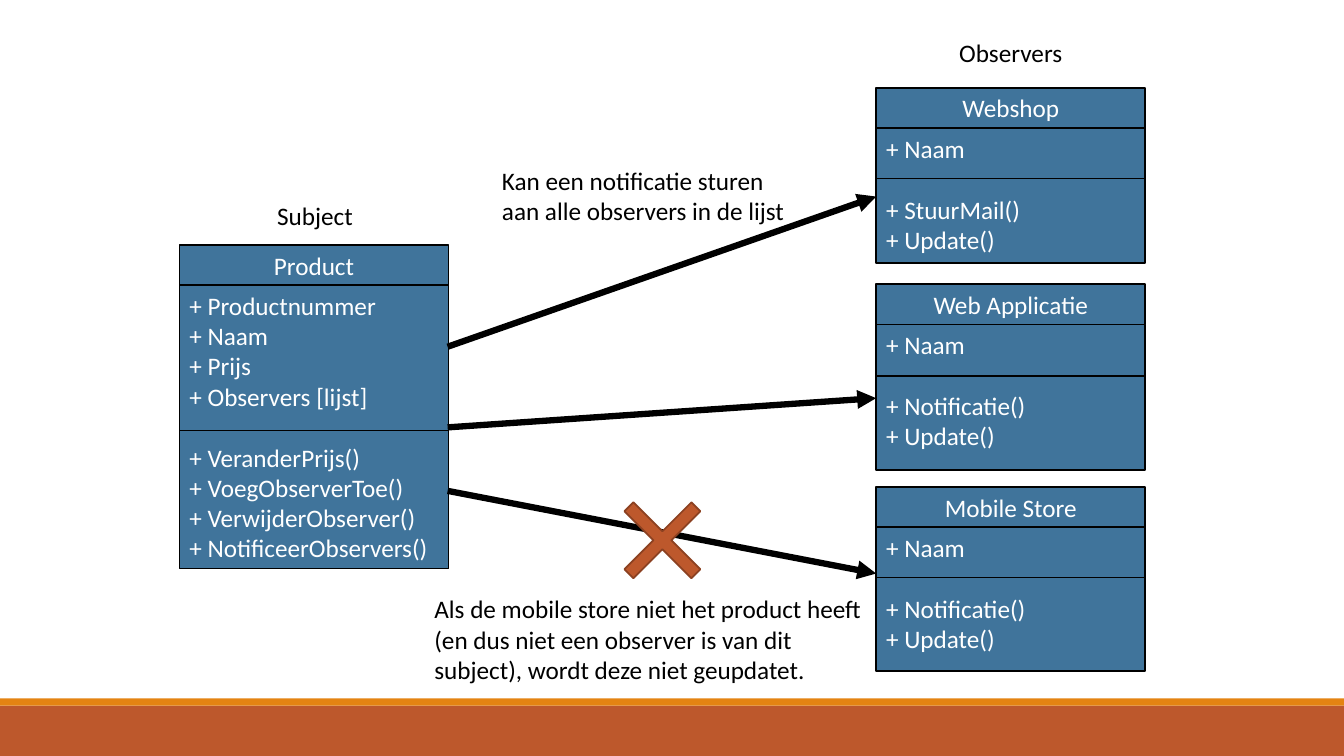
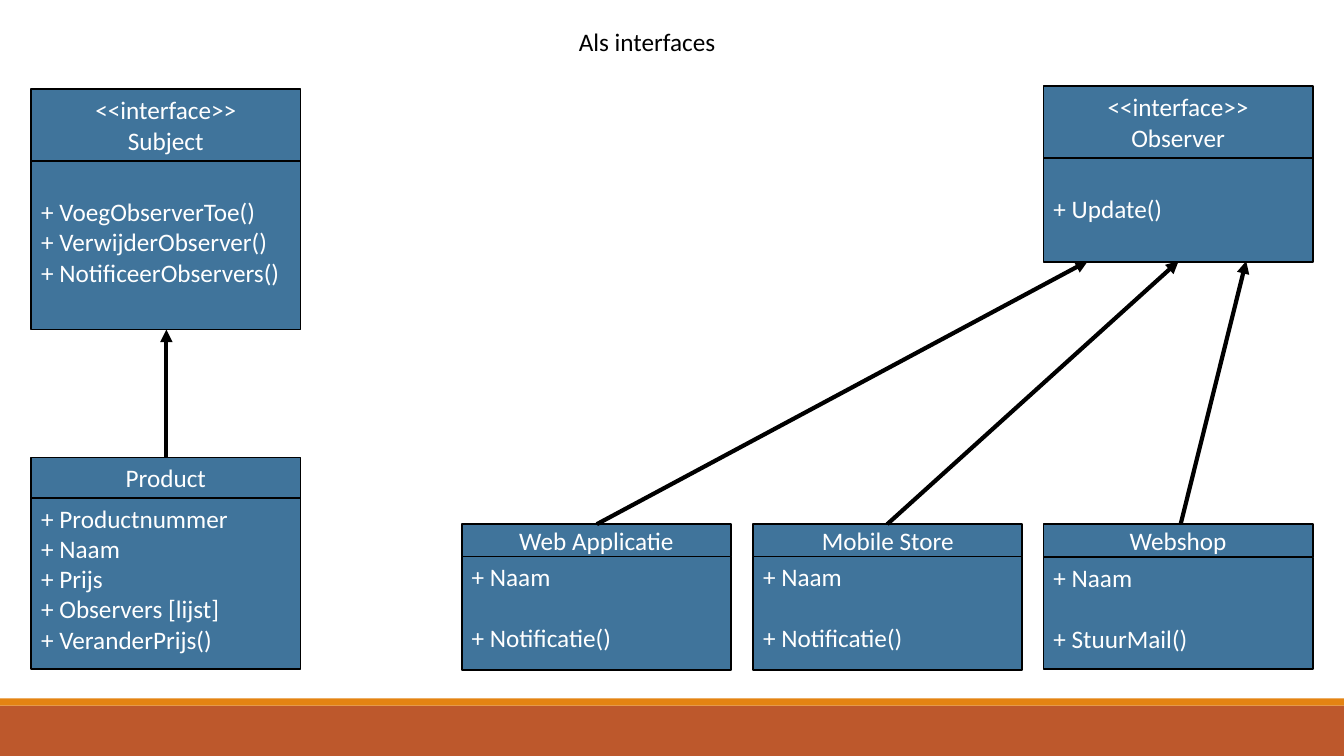
from lxml import etree
from pptx import Presentation
from pptx.dml.color import RGBColor
from pptx.enum.shapes import MSO_CONNECTOR, MSO_SHAPE
from pptx.enum.text import MSO_ANCHOR, MSO_AUTO_SIZE, PP_ALIGN
from pptx.oxml.ns import qn
from pptx.util import Inches, Pt

BLACK = RGBColor(0x00, 0x00, 0x00)
WHITE = RGBColor(0xFF, 0xFF, 0xFF)
BLUE = RGBColor(0x40, 0x74, 0x9B)
RUST = RGBColor(0xBD, 0x58, 0x2C)
DARK_RUST = RGBColor(0x8C, 0x41, 0x21)
ORANGE = RGBColor(0xE4, 0x83, 0x12)

FONT = {"name": "Calibri", "size": Pt(18), "bold": False}
GROUP_GAP = Pt(22)
CLASS_WIDTH = 2.67


def write_text(shape, groups, colour, align, anchor=MSO_ANCHOR.TOP, top=0.05):
    """Write groups of lines, with a gap of one line between groups."""
    frame = shape.text_frame
    layout = {"word_wrap": True, "auto_size": MSO_AUTO_SIZE.NONE, "vertical_anchor": anchor,
              "margin_left": Inches(0.1), "margin_right": Inches(0.1),
              "margin_top": Inches(top), "margin_bottom": Inches(0.05)}
    for name, value in layout.items():
        setattr(frame, name, value)
    para = frame.paragraphs[0]
    for group_index, lines in enumerate(groups):
        for line_index, line in enumerate(lines):
            if group_index or line_index:
                para = frame.add_paragraph()
            para.alignment = align
            if group_index and not line_index:
                para.space_before = GROUP_GAP
            span = para.add_run()
            span.text = line
            for name, value in FONT.items():
                setattr(span.font, name, value)
            span.font.color.rgb = colour


def draw_line(page, start, end, width, arrow=False):
    """Draw a straight black line, with an optional arrowhead at its end."""
    points = [Inches(value) for value in (*start, *end)]
    line = page.shapes.add_connector(MSO_CONNECTOR.STRAIGHT, *points)
    line.line.color.rgb = BLACK
    line.line.width = Pt(width)
    if arrow:
        etree.SubElement(line.line._get_or_add_ln(), qn("a:tailEnd"), type="triangle")
    etree.SubElement(line.element.spPr, qn("a:effectLst"))


deck = Presentation()
deck.slide_width = Inches(13.33)
deck.slide_height = Inches(7.5)
title_only, blank = deck.slide_layouts[5], deck.slide_layouts[6]
pattern_page = deck.slides.add_slide(blank)
interface_page = deck.slides.add_slide(title_only)

# Bands belong to the master, so both slides share them
master_tree = deck.slide_master.element.cSld.spTree
for index, (top, height, colour) in enumerate([(7, 0.5, RUST), (6.93, 0.07, ORANGE)]):
    band = pattern_page.shapes.add_shape(
        MSO_SHAPE.RECTANGLE, 0, Inches(top), deck.slide_width, Inches(height))
    band.shadow.inherit = False
    band.fill.solid()
    band.fill.fore_color.rgb = colour
    band.line.fill.background()
    master_tree.insert(2 + index, band.element)

# Title of the interface slide
title = interface_page.shapes.title
for name, value in {"left": 5.64, "top": 0.21, "width": 1.61, "height": 0.4}.items():
    setattr(title, name, Inches(value))
write_text(title, [["Als interfaces"]], BLACK, PP_ALIGN.LEFT)

# Class boxes: page, left, top, header height, body height, header lines, member groups
FIELDS = ["+ Productnummer", "+ Naam", "+ Prijs", "+ Observers [lijst]"]
LIST_METHODS = ["+ VoegObserverToe()", "+ VerwijderObserver()", "+ NotificeerObservers()"]
NAME, UPDATE = ["+ Naam"], "+ Update()"
MAIL, NOTIFY, SET_PRICE = "+ StuurMail()", "+ Notificatie()", "+ VeranderPrijs()"
INTERFACE = "<<interface>>"

classes = [
    (pattern_page, 1.78, 2.43, 0.4, 2.81, ["Product"], [FIELDS, [SET_PRICE, *LIST_METHODS]]),
    (pattern_page, 8.69, 0.87, 0.4, 1.34, ["Webshop"], [NAME, [MAIL, UPDATE]]),
    (pattern_page, 8.69, 2.82, 0.4, 1.44, ["Web Applicatie"], [NAME, [NOTIFY, UPDATE]]),
    (pattern_page, 8.69, 4.83, 0.4, 1.43, ["Mobile Store"], [NAME, [NOTIFY, UPDATE]]),
    (interface_page, 0.31, 0.88, 0.72, 1.67, [INTERFACE, "Subject"], [LIST_METHODS]),
    (interface_page, 10.35, 0.85, 0.72, 1.03, [INTERFACE, "Observer"], [[UPDATE]]),
    (interface_page, 10.35, 5.2, 0.33, 1.11, ["Webshop"], [NAME, [MAIL]]),
    (interface_page, 4.58, 5.2, 0.32, 1.13, ["Web Applicatie"], [NAME, [NOTIFY]]),
    (interface_page, 7.47, 5.2, 0.32, 1.13, ["Mobile Store"], [NAME, [NOTIFY]]),
    (interface_page, 0.31, 4.54, 0.4, 1.7, ["Product"], [[*FIELDS, SET_PRICE]]),
]
for page, left, top, header_height, body_height, header_lines, members in classes:
    group = page.shapes.add_group_shape()
    parts = []
    for part_top, height in [(top + header_height, body_height), (top, header_height)]:
        box = group.shapes.add_shape(MSO_SHAPE.RECTANGLE, Inches(left), Inches(part_top),
                                     Inches(CLASS_WIDTH), Inches(height))
        box.shadow.inherit = False
        box.fill.solid()
        box.fill.fore_color.rgb = BLUE
        box.line.color.rgb = BLACK
        box.line.width = Pt(1.25)
        parts.append(box)
    body, header = parts
    inset = 0.35 if INTERFACE in header_lines else 0.05
    write_text(body, members, WHITE, PP_ALIGN.LEFT, top=inset)
    write_text(header, [header_lines], WHITE, PP_ALIGN.CENTER, MSO_ANCHOR.MIDDLE)

# Dividers between fields and methods
for left, top in [(1.78, 4.27), (8.69, 1.77), (8.69, 3.73), (8.69, 5.73)]:
    draw_line(pattern_page, (left, top), (left + CLASS_WIDTH, top), 1)

# Notifications from the subject to its observers
for start_y, end_y in [(3.44, 1.95), (4.24, 3.95), (4.87, 5.69)]:
    draw_line(pattern_page, (4.44, start_y), (8.69, end_y), 4.5, arrow=True)

# Classes that implement an interface
for start, end in [((1.65, 4.54), (1.65, 3.27)), ((5.92, 5.2), (10.79, 2.59)),
                   ((8.8, 5.2), (11.69, 2.59)), ((11.71, 5.2), (12.36, 2.59))]:
    draw_line(interface_page, start, end, 3, arrow=True)

# Cross over the blocked notification
cross = pattern_page.shapes.add_shape(
    MSO_SHAPE.MATH_MULTIPLY, Inches(5.93), Inches(4.72), Inches(1.28), Inches(1.28))
cross.adjustments[0] = 0.098
cross.shadow.inherit = False
cross.fill.solid()
cross.fill.fore_color.rgb = RUST
cross.line.color.rgb = DARK_RUST
cross.line.width = Pt(1.25)

# Labels and explanations
labels = [
    (1.79, 1.94, CLASS_WIDTH, 0.4, PP_ALIGN.CENTER, "Subject"),
    (8.69, 0.32, CLASS_WIDTH, 0.4, PP_ALIGN.CENTER, "Observers"),
    (4.88, 1.59, 3.02, 0.71, PP_ALIGN.LEFT,
     "Kan een notificatie sturen aan alle observers in de lijst"),
    (4.21, 5.84, 4.48, 1.01, PP_ALIGN.LEFT,
     "Als de mobile store niet het product heeft (en dus niet een observer is "
     "van dit subject), wordt deze niet geupdatet."),
]
for left, top, width, height, align, text in labels:
    label = pattern_page.shapes.add_textbox(
        Inches(left), Inches(top), Inches(width), Inches(height))
    write_text(label, [[text]], BLACK, align)

deck.save("out.pptx")
